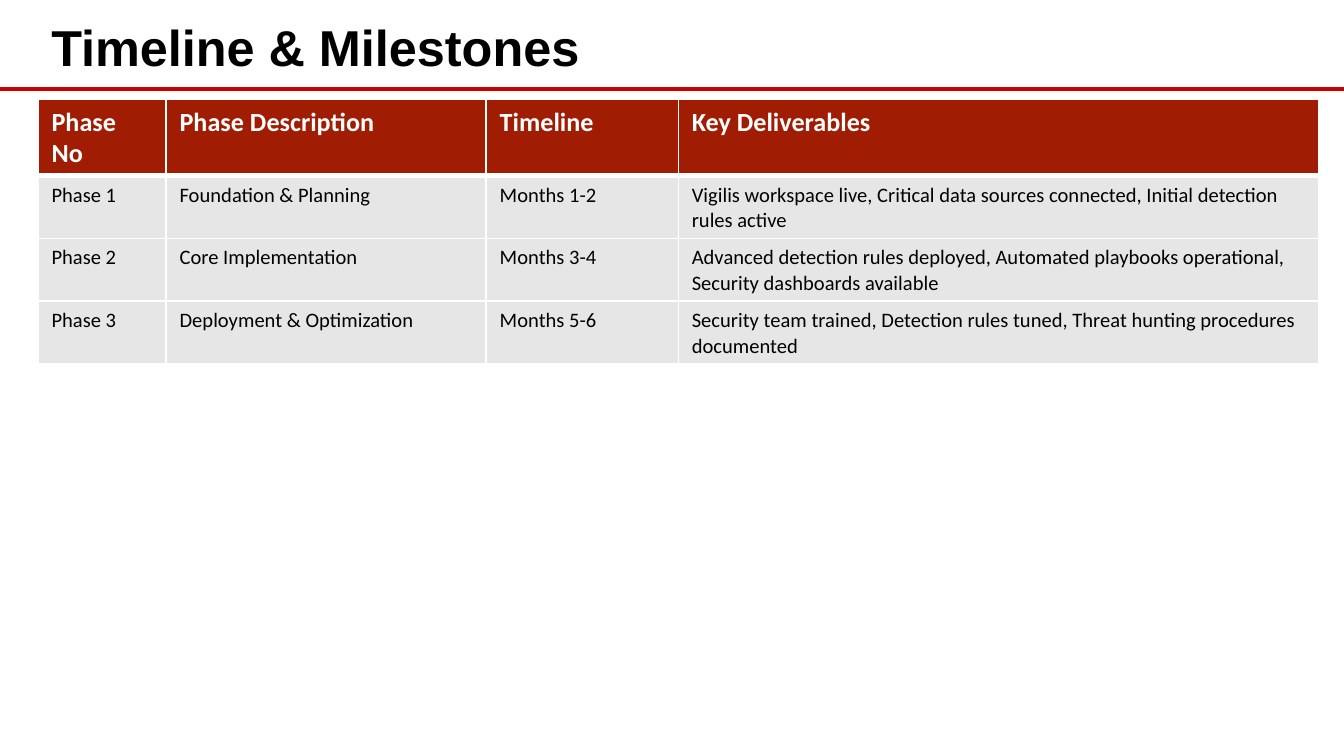
from lxml import etree
from pptx import Presentation
from pptx.dml.color import RGBColor
from pptx.enum.shapes import MSO_CONNECTOR
from pptx.enum.text import MSO_ANCHOR
from pptx.oxml.ns import qn
from pptx.util import Cm, Pt

STRAIGHT = MSO_CONNECTOR.STRAIGHT
MIDDLE = MSO_ANCHOR.MIDDLE

HUES = {"rule": "CC0000", "head": "A01C02", "body": "E7E6E6",
        "white": "FFFFFF", "black": "000000"}
WIDTH, HEIGHT = 25.4, 14.29
LEFT = 0.72
COLS = [2.42, 6.05, 3.63, 12.1]
ROW = 1.03
ROWS = [
    ["Phase No", "Phase Description", "Timeline", "Key Deliverables"],
    ["Phase 1", "Foundation & Planning", "Months 1-2",
     "Vigilis workspace live, Critical data sources connected, "
     "Initial detection rules active"],
    ["Phase 2", "Core Implementation", "Months 3-4",
     "Advanced detection rules deployed, Automated playbooks operational, "
     "Security dashboards available"],
    ["Phase 3", "Deployment & Optimization", "Months 5-6",
     "Security team trained, Detection rules tuned, "
     "Threat hunting procedures documented"],
]


def hue(name):
    return RGBColor.from_string(HUES[name])


def write(frame, text, size=11, font="Calibri", color="black", bold=False):
    run = frame.paragraphs[0].add_run()
    run.text = text
    run.font.size = Pt(size)
    run.font.name = font
    run.font.bold = bold
    run.font.color.rgb = hue(color)


def edge(cell, side, width):
    line = etree.SubElement(cell._tc.get_or_add_tcPr(), qn(f"a:ln{side}"),
                            w=str(Pt(width)))
    fill = etree.SubElement(line, qn("a:solidFill"))
    etree.SubElement(fill, qn("a:srgbClr"), val=HUES["white"])


class Deck:
    def __init__(self):
        self.file = Presentation()
        self.file.slide_width = Cm(WIDTH)
        self.file.slide_height = Cm(HEIGHT)
        self.slide = self.file.slides.add_slide(self.file.slide_layouts[6])

    def rule(self, top):
        line = self.slide.shapes.add_connector(
            STRAIGHT, Cm(0), Cm(top), Cm(WIDTH), Cm(top))
        line.line.color.rgb = hue("rule")
        line.line.width = Pt(2.25)
        etree.SubElement(line._element.spPr, qn("a:effectLst"))

    def title(self, text, top, height):
        box = self.slide.shapes.add_textbox(
            Cm(LEFT), Cm(top), Cm(sum(COLS)), Cm(height))
        frame = box.text_frame
        frame.word_wrap = True
        frame.vertical_anchor = MIDDLE
        frame.margin_bottom = Cm(0.05)
        write(frame, text, size=27, font="Arial", bold=True)

    def table(self, rows, top):
        grid = self.slide.shapes.add_table(
            len(rows), len(COLS), Cm(LEFT), Cm(top),
            Cm(sum(COLS)), Cm(ROW * len(rows))).table
        for col, width in zip(grid.columns, COLS):
            col.width = Cm(width)
        for i, row in enumerate(rows):
            grid.rows[i].height = Cm(ROW)
            for j, text in enumerate(row):
                self.cell(grid.cell(i, j), text, i)

    def cell(self, cell, text, row):
        head = row == 0
        edge(cell, "L", 1)
        edge(cell, "R", 1)
        edge(cell, "T", 3 if row == 1 else 1)
        edge(cell, "B", 3 if head else 1)
        cell.fill.solid()
        cell.fill.fore_color.rgb = hue("head" if head else "body")
        if head:
            write(cell.text_frame, text, size=14, color="white", bold=True)
        else:
            write(cell.text_frame, text)


def main():
    deck = Deck()
    deck.rule(1.68)
    deck.title("Timeline & Milestones", 0.1, 1.47)
    deck.table(ROWS, 1.88)
    deck.file.save("out.pptx")


if __name__ == "__main__":
    main()
